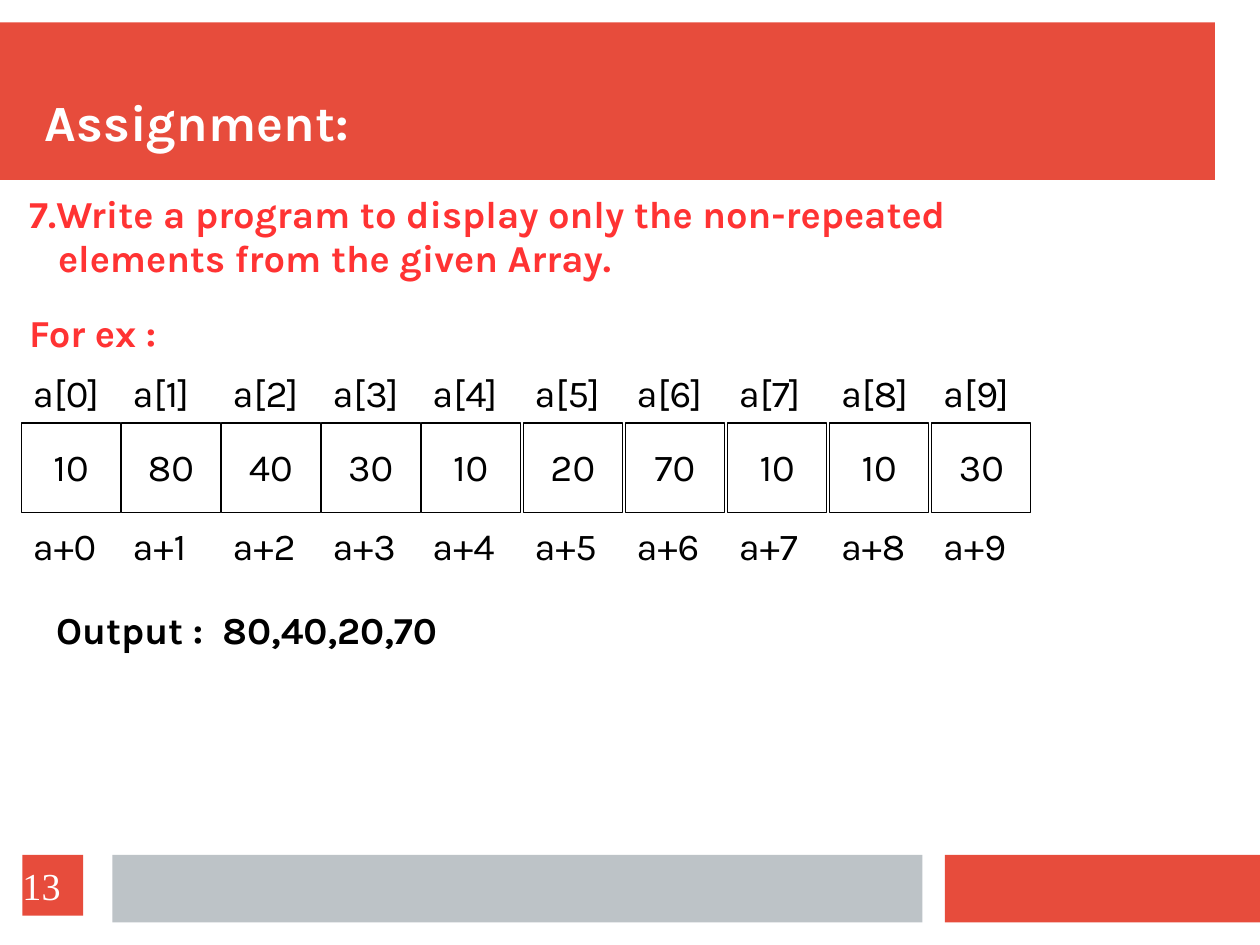
import pptx
import pptx.dml.color
import pptx.enum.shapes
import pptx.enum.text
import pptx.util

Cm = pptx.util.Cm
Pt = pptx.util.Pt
ALIGN = pptx.enum.text.PP_ALIGN
ANCHOR = pptx.enum.text.MSO_ANCHOR

COLORS = {
    "accent": "E74C3C",
    "bar": "BDC3C7",
    "question": "FF3333",
    "ink": "000000",
    "paper": "FFFFFF",
}


def rgb(name):
    return pptx.dml.color.RGBColor.from_string(COLORS[name])


class ArraySlide:
    font = "Karla"

    def __init__(self, deck):
        self.slide = deck.slides.add_slide(deck.slide_layouts[5])

    def set_text(self, shape, text, color="ink", size=24, bold=False, font=None,
                 align=ALIGN.LEFT, anchor=ANCHOR.TOP, inset=(0.25, 0.13), spacing=0.97):
        frame = shape.text_frame
        frame.text = text
        paragraph = frame.paragraphs[0]
        side, edge = map(Cm, inset)
        formats = (
            (frame, {"word_wrap": True, "vertical_anchor": anchor,
                     "auto_size": pptx.enum.text.MSO_AUTO_SIZE.NONE,
                     "margin_left": side, "margin_right": side,
                     "margin_top": edge, "margin_bottom": edge}),
            (paragraph, {"alignment": align, "line_spacing": spacing}),
            (paragraph.runs[0].font, {"name": font or self.font, "size": Pt(size),
                                      "bold": bold}),
        )
        for target, values in formats:
            for attribute, value in values.items():
                setattr(target, attribute, value)
        paragraph.runs[0].font.color.rgb = rgb(color)
        return paragraph

    def title(self, text, left, top, width, height):
        heading = self.slide.shapes.title
        place = {"left": left, "top": top, "width": width, "height": height}
        for attribute, value in place.items():
            setattr(heading, attribute, Cm(value))
        self.slide.shapes._spTree.append(heading._element)
        self.set_text(heading, text, "paper", 32, True, anchor=ANCHOR.BOTTOM, inset=(0, 0))

    def block(self, left, top, width, height, fill, outline=None):
        block = self.slide.shapes.add_shape(
            pptx.enum.shapes.MSO_SHAPE.RECTANGLE,
            Cm(left), Cm(top), Cm(width), Cm(height))
        block.shadow.inherit = False
        block.fill.solid()
        block.fill.fore_color.rgb = rgb(fill)
        if outline:
            block.line.color.rgb = rgb(outline)
            block.line.width = Pt(0.75)
        else:
            block.line.fill.background()
        return block

    def label(self, text, left, top, width, height, **style):
        label = self.slide.shapes.add_textbox(Cm(left), Cm(top), Cm(width), Cm(height))
        return self.set_text(label, text, **style)

    def hang(self, paragraph, indent):
        properties = paragraph._p.get_or_add_pPr()
        properties.set("marL", str(Cm(indent)))
        properties.set("indent", str(-Cm(indent)))

    def element(self, index, value):
        left = 0.48 + 2.22 * index + 0.05 * max(0, index - 4)
        cell = self.block(left, 9.4, 2.2, 2, "paper", "ink")
        self.set_text(cell, str(value), align=ALIGN.CENTER, anchor=ANCHOR.MIDDLE)
        self.label(f"a[{index}]", left, 8.13, 2.25, 1.27)
        self.label(f"a+{index}", left, 11.53, 2.25, 1.27)


def main():
    deck = pptx.Presentation()
    deck.slide_width = Cm(28)
    deck.slide_height = Cm(21)
    page = ArraySlide(deck)

    page.block(0, 0.5, 27, 3.5, "accent")
    page.block(21, 19, 7, 1.5, "accent")
    page.block(2.5, 19, 18, 1.5, "bar")
    page.title("Assignment:", 1, 1, 25.88, 2.4)

    for index, value in enumerate((10, 80, 40, 30, 10, 20, 70, 10, 10, 30)):
        page.element(index, value)

    question = page.label(
        "7.Write a program to display only the non-repeated "
        "elements from the given Array.",
        0.4, 4.15, 22.5, 2.26, color="question", bold=True)
    page.hang(question, 0.64)
    page.label("For ex :", 0.4, 6.8, 4.4, 1.27, color="question", bold=True)
    page.label("Output :  80,40,20,70", 1, 13.4, 11.5, 1.27, bold=True)

    number = page.block(0.5, 19, 1.35, 1.35, "accent")
    page.set_text(number, "13", "paper", font="Times New Roman",
                  anchor=ANCHOR.MIDDLE, inset=(0, 0), spacing=1.0)

    deck.save("out.pptx")


if __name__ == "__main__":
    main()
